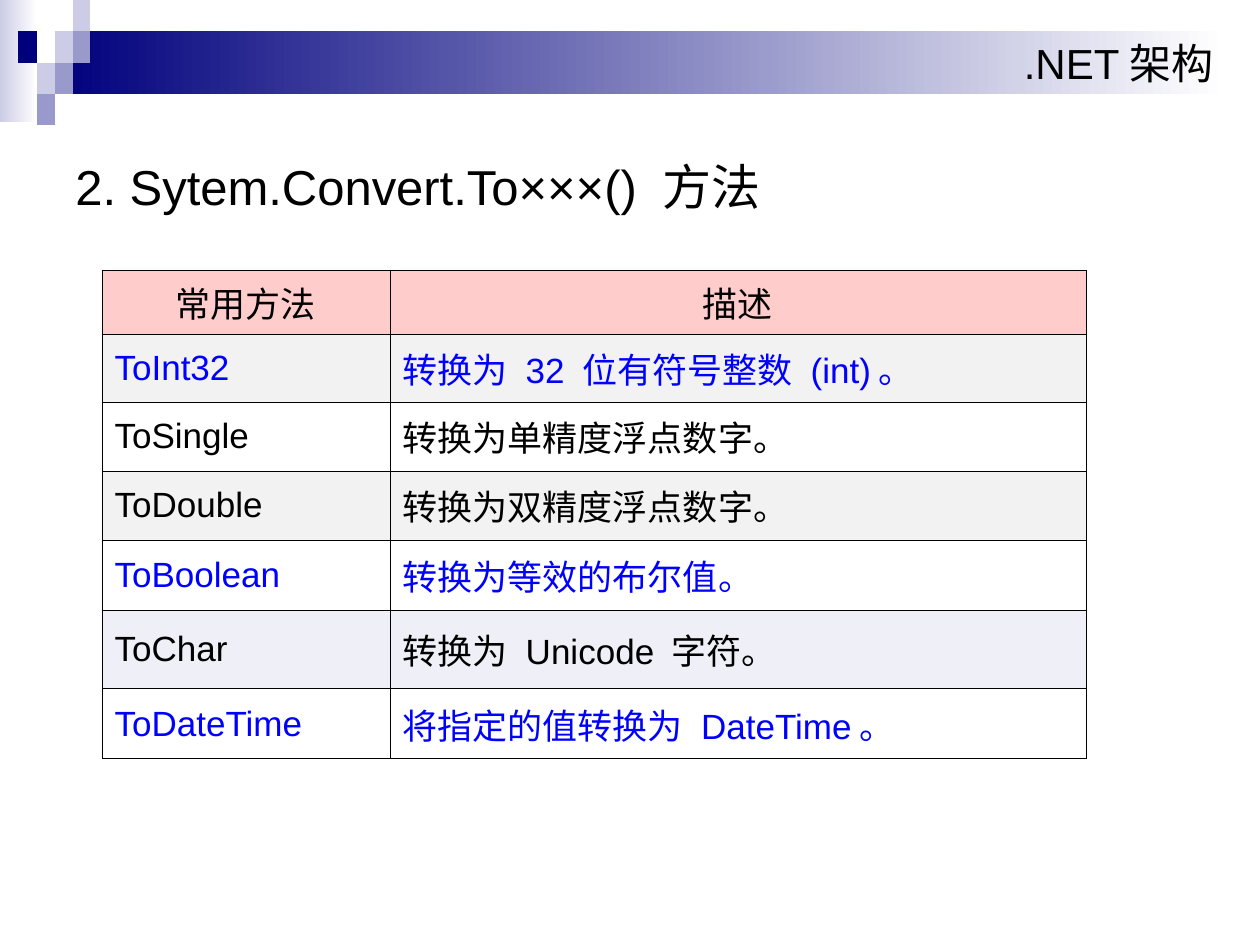
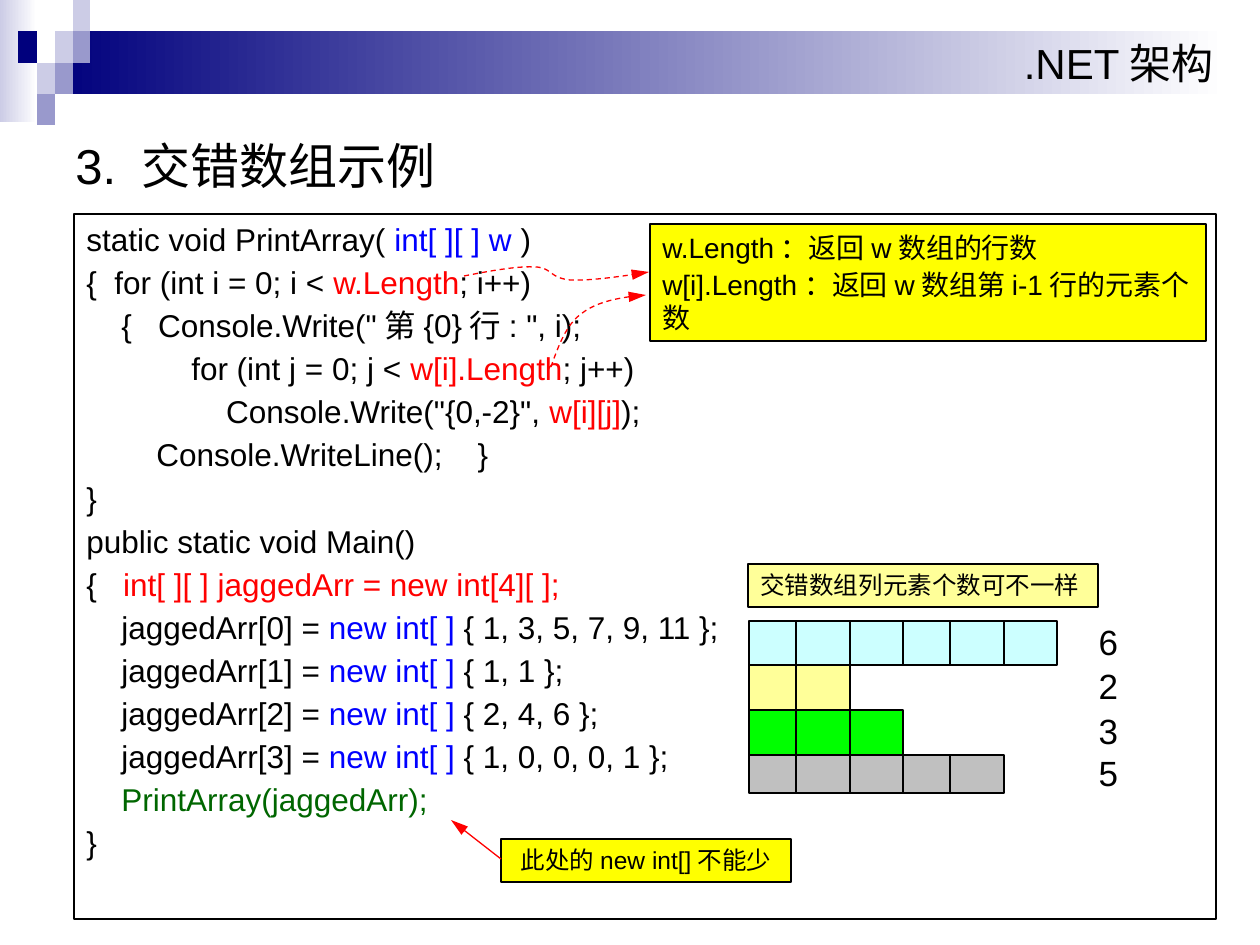
from lxml import etree
from pptx import Presentation
from pptx import util as u
from pptx.dml.color import RGBColor
from pptx.enum import dml, shapes, text
from pptx.oxml import ns

BLACK = RGBColor(0, 0, 0)
WHITE = RGBColor(255, 255, 255)
NAVY = RGBColor(0, 0, 0x7D)
MID = RGBColor(0x99, 0x99, 0xCC)
PALE = RGBColor(0xCC, 0xCC, 0xE6)
BLUE = RGBColor(0, 0, 255)
RED = RGBColor(255, 0, 0)
GREEN = RGBColor(0, 0x66, 0)
PINK = RGBColor(255, 0xCC, 0xCC)
GRAY = RGBColor(0xF2, 0xF2, 0xF2)
MIST = RGBColor(0xEF, 0xEF, 0xF7)
YELLOW = RGBColor(255, 255, 0)
CREAM = RGBColor(255, 255, 0x99)
CYAN = RGBColor(0xCC, 255, 255)
LIME = RGBColor(0, 255, 0)
SILVER = RGBColor(0xC0, 0xC0, 0xC0)

FONT = "Arial"
DPI = 126
MIDDLE = text.MSO_ANCHOR.MIDDLE
CENTER = text.PP_ALIGN.CENTER
RIGHT = text.PP_ALIGN.RIGHT
FIT = text.MSO_AUTO_SIZE.SHAPE_TO_FIT_TEXT

# Page furniture: tile grid edges, then (column, row, colour)
TILE_X = (18, 37, 55, 73, 90)
TILE_Y = (0, 31, 63, 94, 125)
TILES = [(2, 1, PALE), (3, 0, PALE), (3, 1, MID), (1, 2, PALE),
         (0, 1, NAVY), (2, 2, MID), (1, 3, MID)]
BAND = ".NET架构"

# Method table: name, meaning, text colour, fill, row height
METHODS = [
    ("常用方法", "描述", BLACK, PINK, 64),
    ("ToInt32", "转换为 32 位有符号整数 (int)。", BLUE, GRAY, 68),
    ("ToSingle", "转换为单精度浮点数字。", BLACK, None, 69),
    ("ToDouble", "转换为双精度浮点数字。", BLACK, GRAY, 69),
    ("ToBoolean", "转换为等效的布尔值。", BLUE, None, 70),
    ("ToChar", "转换为 Unicode 字符。", BLACK, MIST, 79),
    ("ToDateTime", "将指定的值转换为 DateTime。", BLUE, None, 70),
]
METHOD_W = (288, 696)

# Jagged array: row values as in the code, with the row's colour
JAGGED = [("1, 3, 5, 7, 9, 11", CYAN), ("1, 1", CREAM),
          ("2, 4, 6", LIME), ("1, 0, 0, 0, 1", SILVER)]
CELL_X = (749, 796, 850, 903, 950, 1004, 1057)
CELL_Y = (621, 665, 710, 755, 793)

# Each line is a list of runs: plain text, or (text, colour)
CODE = [
    ["static void PrintArray( ", ("int[ ][ ] w ", BLUE), ")"],
    ["{  for (int i = 0; i < ", ("w.Length", RED), "; i++)"],
    ['    {   Console.Write("第{0}行: ", i);'],
    ["            for (int j = 0; j < ", ("w[i].Length", RED), "; j++)"],
    ['                Console.Write("{0,-2}", ', ("w[i][j]", RED), ");"],
    ["        Console.WriteLine();    }"],
    ["}"],
    ["public static void Main()"],
    ["{  ", (" int[ ][ ] jaggedArr = new int[4][ ];", RED)],
    *([f"    jaggedArr[{i}] = ", ("new int[ ]", BLUE), f" {{ {vals} }};"]
      for i, (vals, _) in enumerate(JAGGED)),
    ["    ", ("PrintArray(jaggedArr);", GREEN)],
    ["}"],
]

NOTES = [
    ((650, 224, 556, 117),
     [["w.Length：返回w数组的行数"], ["w[i].Length：返回w数组第i-1行的元素个数"]],
     YELLOW, dict(size=16, gap=2)),
    ((748, 564, 350, 43), [["交错数组列元素个数可不一样"]],
     CREAM, dict(size=14)),
    ((501, 839, 290, 43), [["此处的new int[]不能少"]],
     YELLOW, dict(size=14, para=dict(alignment=CENTER))),
]

# Bezier chains: start, then three points per segment
CURVES = [
    [(464, 276), (490, 271), (517, 266), (534, 267), (552, 267), (549, 278),
     (570, 280), (588, 281), (619, 277), (649, 272)],
    [(551, 367), (558, 347), (566, 325), (581, 314), (597, 301), (622, 297),
     (646, 295)],
]


def px(n):
    return u.Emu(round(n * u.Inches(1) / DPI))


def assign(obj, vals):
    for key, val in vals.items():
        setattr(obj, key, val)


def write(frame, lines, size, color=BLACK, para=None, gap=0):
    """Fill a text frame; gap is the space before all but the first line."""
    for i, line in enumerate(lines):
        p = frame.paragraphs[0] if i == 0 else frame.add_paragraph()
        assign(p, {"alignment": text.PP_ALIGN.LEFT, **(para or {})})
        if i and gap:
            p.space_before = u.Pt(gap)
        for part in line:
            words, hue = (part, color) if isinstance(part, str) else part
            run = p.add_run()
            run.text = words
            assign(run.font, dict(name=FONT, size=u.Pt(size)))
            run.font.color.rgb = hue


def pen(line, color=BLACK, width=0.75):
    line.color.rgb = color
    line.width = u.Pt(width)


def tip(line):
    etree.SubElement(line._get_or_add_ln(), ns.qn("a:tailEnd"),
                     type="triangle", len="lg")


def rect(slide, at, fill=None, edge=False):
    """Fill is a colour, a (from, to) pair for a gradient, or None."""
    box = slide.shapes.add_shape(shapes.MSO_SHAPE.RECTANGLE, *map(px, at))
    box.shadow.inherit = False
    if fill is None:
        box.fill.background()
    elif isinstance(fill, RGBColor):
        box.fill.solid()
        box.fill.fore_color.rgb = fill
    else:
        box.fill.gradient()
        box.fill.gradient_angle = 0
        for stop, hue in zip(box.fill.gradient_stops, fill):
            stop.color.rgb = hue
    if edge:
        pen(box.line)
    else:
        box.line.fill.background()
    assign(box.text_frame, dict(word_wrap=True,
                                vertical_anchor=text.MSO_ANCHOR.TOP))
    return box


def label(slide, at, words, size, wrap=True, **para):
    frame = slide.shapes.add_textbox(*map(px, at)).text_frame
    assign(frame, dict(word_wrap=wrap, vertical_anchor=MIDDLE))
    write(frame, [[words]], size, para=para)


def link(slide, start, end, color=BLACK):
    line = slide.shapes.add_connector(shapes.MSO_CONNECTOR.STRAIGHT,
                                      *map(px, start + end))
    pen(line.line, color)
    etree.SubElement(line._element.spPr, ns.qn("a:effectLst"))
    return line


def curve(slide, pts, steps=12):
    """Dashed red arrow along a chain of cubic Beziers."""
    track = []
    for k in range(0, len(pts) - 1, 3):
        for s in range(1, steps + 1):
            t = s / steps
            mix = ((1 - t) ** 3, 3 * t * (1 - t) ** 2, 3 * t * t * (1 - t), t ** 3)
            track.append(tuple(px(sum(m * p[axis] for m, p in zip(mix, pts[k:k + 4])))
                               for axis in (0, 1)))
    draft = slide.shapes.build_freeform(*map(px, pts[0]))
    draft.add_line_segments(track, close=False)
    arc = draft.convert_to_shape()
    arc.shadow.inherit = False
    arc.fill.background()
    pen(arc.line, RED)
    arc.line.dash_style = dml.MSO_LINE.DASH
    tip(arc.line)


def page(deck, title, top):
    slide = deck.slides.add_slide(deck.slide_layouts[6])
    rect(slide, (0, 0, 37, 122), (PALE, WHITE))
    band = rect(slide, (55, 31, 1171, 63), (NAVY, WHITE))
    write(band.text_frame, [[BAND]], 24, para=dict(alignment=RIGHT))
    for c, r, hue in TILES:
        x, y = TILE_X[c], TILE_Y[r]
        rect(slide, (x, y, TILE_X[c + 1] - x, TILE_Y[r + 1] - y), hue)
    label(slide, (63, top, 1134, 137), title, 28)
    return slide


def border(cell):
    """Thin black line on all four sides; goes in before the fill."""
    props = cell._tc.get_or_add_tcPr()
    for side in ("lnL", "lnR", "lnT", "lnB"):
        line = etree.SubElement(props, ns.qn("a:" + side), w=str(u.Pt(0.45)))
        fill = etree.SubElement(line, ns.qn("a:solidFill"))
        etree.SubElement(fill, ns.qn("a:srgbClr"), val=str(BLACK))


def methods(slide):
    high = sum(row[-1] for row in METHODS)
    grid = slide.shapes.add_table(len(METHODS), len(METHOD_W),
                                  *map(px, (102, 270, sum(METHOD_W), high))).table
    assign(grid, dict(first_row=False, horz_banding=False))
    for col, wide in zip(grid.columns, METHOD_W):
        col.width = px(wide)
    for r, (name, about, color, fill, tall) in enumerate(METHODS):
        grid.rows[r].height = px(tall)
        para = {} if r else dict(alignment=CENTER)
        for cell, words in zip(grid.rows[r].cells, (name, about)):
            border(cell)
            if fill is None:
                cell.fill.background()
            else:
                cell.fill.solid()
                cell.fill.fore_color.rgb = fill
            cell.vertical_anchor = MIDDLE
            write(cell.text_frame, [[words]], 20, color, para)


def listing(slide):
    frame = rect(slide, (74, 214, 1142, 705), edge=True).text_frame
    write(frame, CODE, 18, para=dict(line_spacing=1.0, space_after=u.Pt(3)))
    for p in frame.paragraphs:
        props = p._p.get_or_add_pPr()
        props.set("marL", str(px(48)))
        props.set("indent", str(px(-48)))


def jagged(slide):
    left = CELL_X[0]
    for (vals, hue), top, low in zip(JAGGED, CELL_Y, CELL_Y[1:]):
        count = len(vals.split(","))
        rect(slide, (left, top, CELL_X[count] - left, low - top), hue, True)
        for x in CELL_X[1:count]:
            link(slide, (x, top), (x, low))
        label(slide, (1051, top - 2, 115, low - top), str(count), 20, False,
              alignment=CENTER)


def main():
    deck = Presentation()
    assign(deck, dict(slide_width=px(1260), slide_height=px(945)))
    methods(page(deck, "2. Sytem.Convert.To×××() 方法", 117))

    slide = page(deck, "3. 交错数组示例", 96)
    listing(slide)
    jagged(slide)
    for at, lines, fill, look in NOTES:
        frame = rect(slide, at, fill, True).text_frame
        frame.auto_size = FIT
        write(frame, lines, **look)
    for pts in CURVES:
        curve(slide, pts)
    tip(link(slide, (501, 859), (451, 820), RED).line)
    deck.save("out.pptx")


if __name__ == "__main__":
    main()
